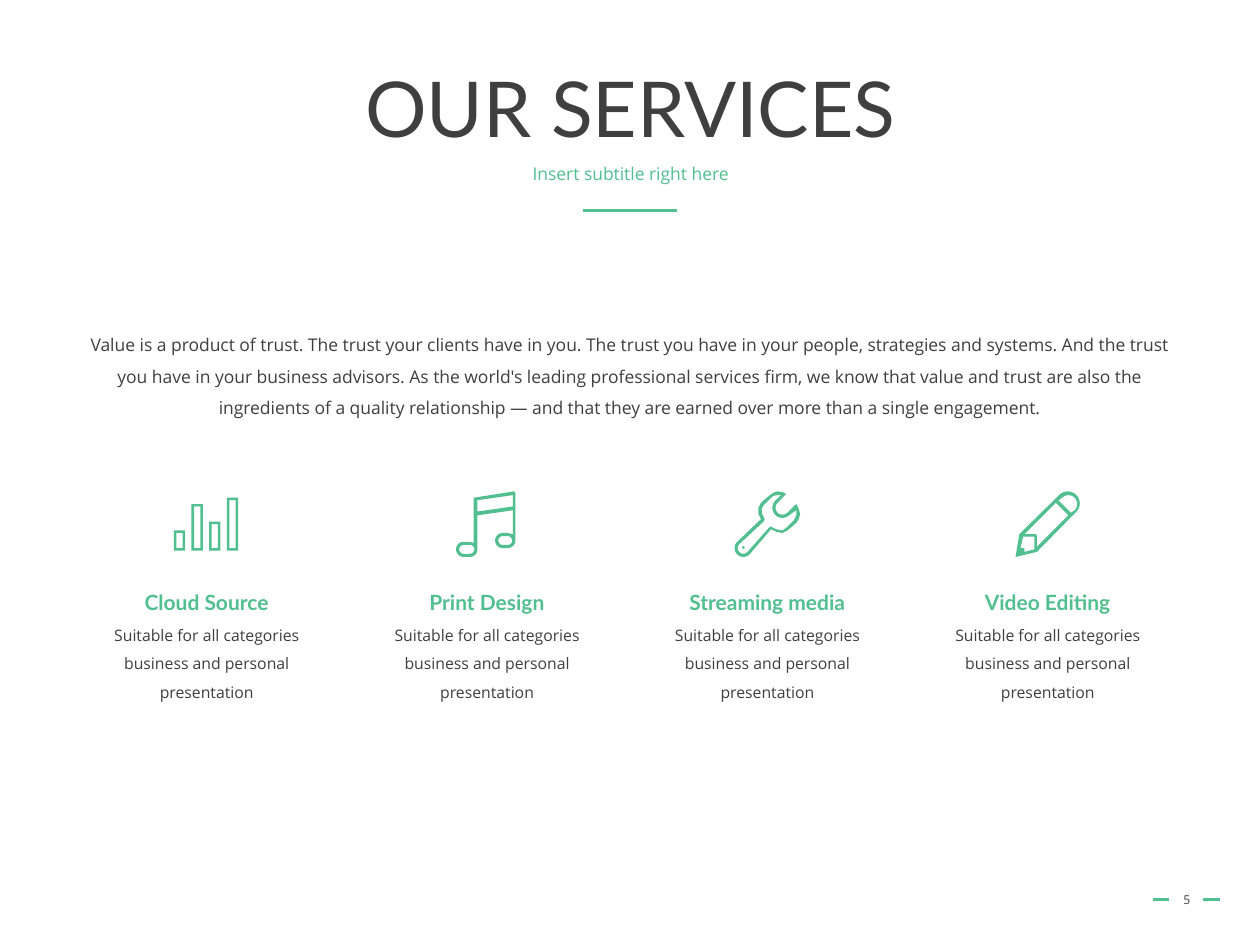
from math import cos, radians, sin

from lxml.etree import SubElement
from pptx import Presentation
from pptx.dml.color import RGBColor
from pptx.enum.shapes import MSO_CONNECTOR as Link
from pptx.enum.text import MSO_ANCHOR as Anchor, PP_ALIGN as Align
from pptx.oxml.ns import qn
from pptx.util import Inches, Pt

GREEN = RGBColor(0x52, 0xBF, 0x90)
DARK = RGBColor(0x3F, 0x3F, 0x3F)
HEAD, BODY = "Lato", "Open Sans"
INTRO = (
    "Value is a product of trust. The trust your clients have in you. "
    "The trust you have in your people, strategies and systems. "
    "And the trust you have in your business advisors. "
    "As the world's leading professional services firm, we know that value "
    "and trust are also the ingredients of a quality relationship — and that "
    "they are earned over more than a single engagement."
)
NOTE = "Suitable for all categories business and personal presentation"


def arc(x, y, r, start, end):
    angles = [radians(start + (end - start) * i / 16) for i in range(17)]
    return [(x + r * cos(a), y + r * sin(a)) for a in angles]


def pill(left, right, y, r):
    return arc(left, y, r, 270, 90) + arc(right, y, r, 90, -90)


def rect(left, top, right, base):
    return [(left, top), (right, top), (right, base), (left, base)]


def bars():
    rings = []
    for i, top in enumerate((421, 400, 414, 395)):
        left = 138 + 14 * i
        rings += [rect(left, top, left + 9, 437),
                  rect(left + 2, top + 2, left + 7, 435)]
    return rings


def music():
    outer = [(376, 395), (376, 431), (373, 430)]
    outer += arc(368, 436, 6, 270, 90) + arc(373, 436, 6, 90, 0)
    outer += [(379, 409), (407, 405), (407, 424), (403, 423)]
    outer += arc(399, 429, 6, 270, 90) + arc(403, 429, 6, 90, 0)
    outer += [(409, 391), (408, 390)]
    flag = [(379, 397), (407, 393), (407, 402), (379, 406)]
    return [outer, flag, pill(368, 373, 436, 3.5), pill(399, 403, 429, 3.5)]


def wrench():
    outer = [(632, 400)] + arc(621, 403, 5.5, 45, 225)
    outer += [(624, 392), (621, 390.5), (617, 390), (614, 391), (611, 393),
              (604, 399), (602, 403), (602, 408), (604, 412)]
    outer += arc(590, 435, 7, 225, 45)
    outer += [(612, 420), (616, 422), (621, 423), (625, 421), (632, 415),
              (634, 412), (635, 408), (634, 404)]
    inner = [(620, 393)] + arc(621, 403, 8, 225, 45)
    inner += [(632, 405), (632, 409), (630, 413), (624, 419), (621, 421),
              (616, 420), (612, 418), (611, 418)]
    inner += arc(590, 435, 4.5, 45, 225)
    inner += [(606, 414), (607, 412), (605, 408), (604.5, 404), (606, 401),
              (612, 395), (614, 393.5), (617, 393)]
    return [outer, inner, arc(590, 434.5, 1, 0, 360)]


def pencil():
    outer = arc(847.5, 399.5, 9.5, 225, 405) + [(823, 438), (806, 442), (809, 424)]
    nib = [(821, 436), (813, 438), (813, 435), (810, 435), (812, 426), (821, 426)]
    body = [(823, 434), (823, 425), (822, 424), (813, 424), (838, 399), (848, 409)]
    cap = [(850, 407), (840, 397)] + arc(848, 400, 7, 225, 405)
    return [outer, nib, body, cap]


class Deck:
    """Hold the shared style and the current slide."""

    def __init__(self):
        self.show = Presentation()
        self.show.slide_width, self.show.slide_height = Inches(10), Inches(7.5)
        self.shapes = self.show.slides.add_slide(self.show.slide_layouts[6]).shapes

    def rule(self, left, right, y):
        line = self.shapes.add_connector(
            Link.STRAIGHT, Inches(left), Inches(y), Inches(right), Inches(y))
        line.line.color.rgb = GREEN
        line.line.width = Pt(1.75)
        SubElement(line._element.spPr, qn("a:effectLst"))

    def text(self, words, box, size, font=BODY, color=DARK, bold=False,
             space=1.0, anchor=Anchor.TOP, pad=True):
        frame = self.shapes.add_textbox(*map(Inches, box)).text_frame
        frame.word_wrap = True
        frame.vertical_anchor = anchor
        if not pad:
            frame.margin_left = frame.margin_right = 0
            frame.margin_top = frame.margin_bottom = 0
        para = frame.paragraphs[0]
        para.text = words
        para.alignment = Align.CENTER
        para.line_spacing = space
        para.font.name, para.font.size = font, Pt(size)
        para.font.bold, para.font.color.rgb = bold, color

    def icon(self, rings):
        rings = [[(Inches(x / 100), Inches(y / 100)) for x, y in ring]
                 for ring in rings]
        pen = self.shapes.build_freeform(*rings[0][0])
        for i, ring in enumerate(rings):
            if i:
                pen.move_to(*ring[0])
            pen.add_line_segments(ring[1:], close=True)
        shape = pen.convert_to_shape()
        shape.shadow.inherit = False
        shape.fill.solid()
        shape.fill.fore_color.rgb = GREEN
        shape.line.fill.background()

    def save(self):
        self.show.save("out.pptx")


def main():
    deck = Deck()
    for left, right, y in ((4.63, 5.37, 1.67), (9.15, 9.28, 7.14), (9.55, 9.68, 7.14)):
        deck.rule(left, right, y)
    deck.text("OUR SERVICES", (0.69, 0.4, 8.63, 0.98), 44, HEAD,
              space=0.9, anchor=Anchor.MIDDLE, pad=False)
    deck.text("Insert subtitle right here", (0.69, 1.31, 8.63, 0.35), 10,
              color=GREEN, space=0.9, pad=False)
    deck.text("5", (9.2, 6.94, 0.44, 0.4), 7, anchor=Anchor.MIDDLE)
    deck.text(INTRO, (0.52, 2.52, 8.95, 1.04), 10, space=1.5)

    items = (("Cloud Source", bars), ("Print Design", music),
             ("Streaming media", wrench), ("Video Editing", pencil))
    for i, (name, draw) in enumerate(items):
        mid = 1.64 + 2.225 * i
        deck.text(name, (mid - 0.8, 4.63, 1.6, 0.3), 12, HEAD, GREEN, bold=True)
        deck.text(NOTE, (mid - 1.025, 4.84, 2.05, 0.78), 9, space=1.5)
        deck.icon(draw())
    deck.save()


if __name__ == "__main__":
    main()
